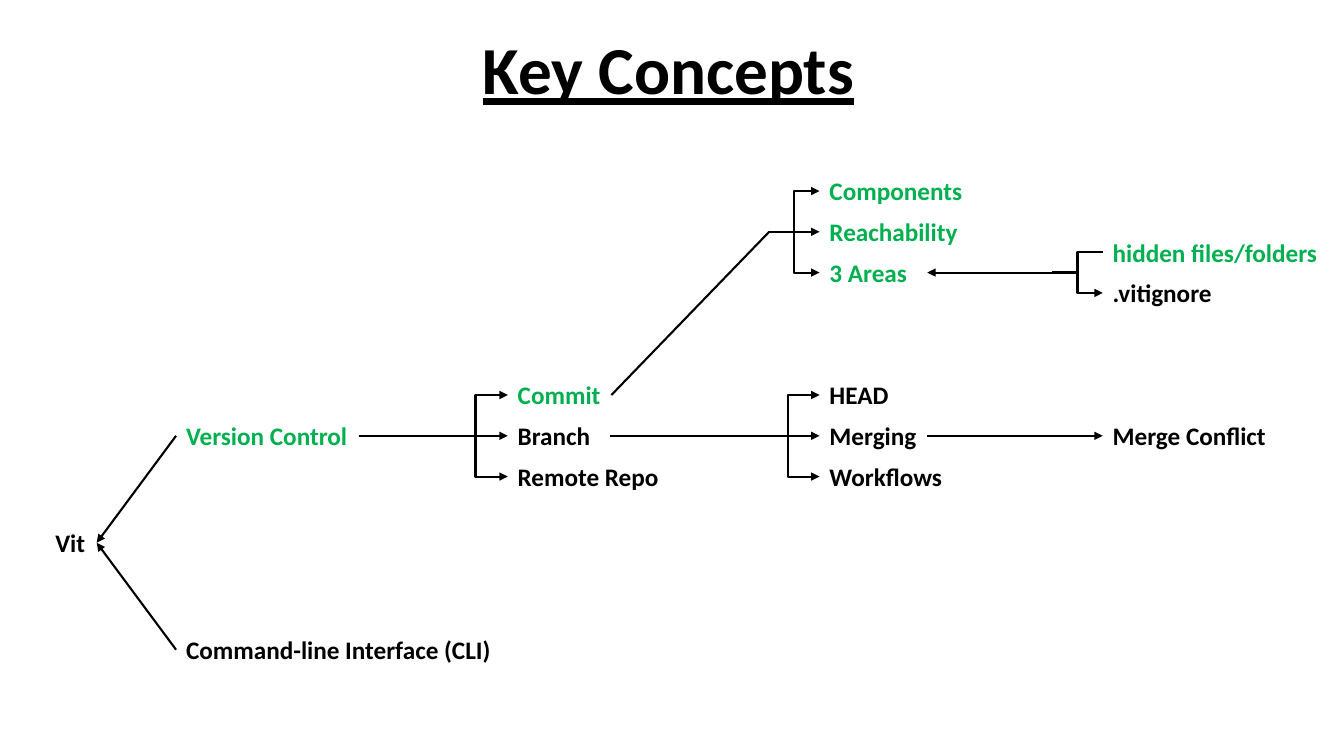
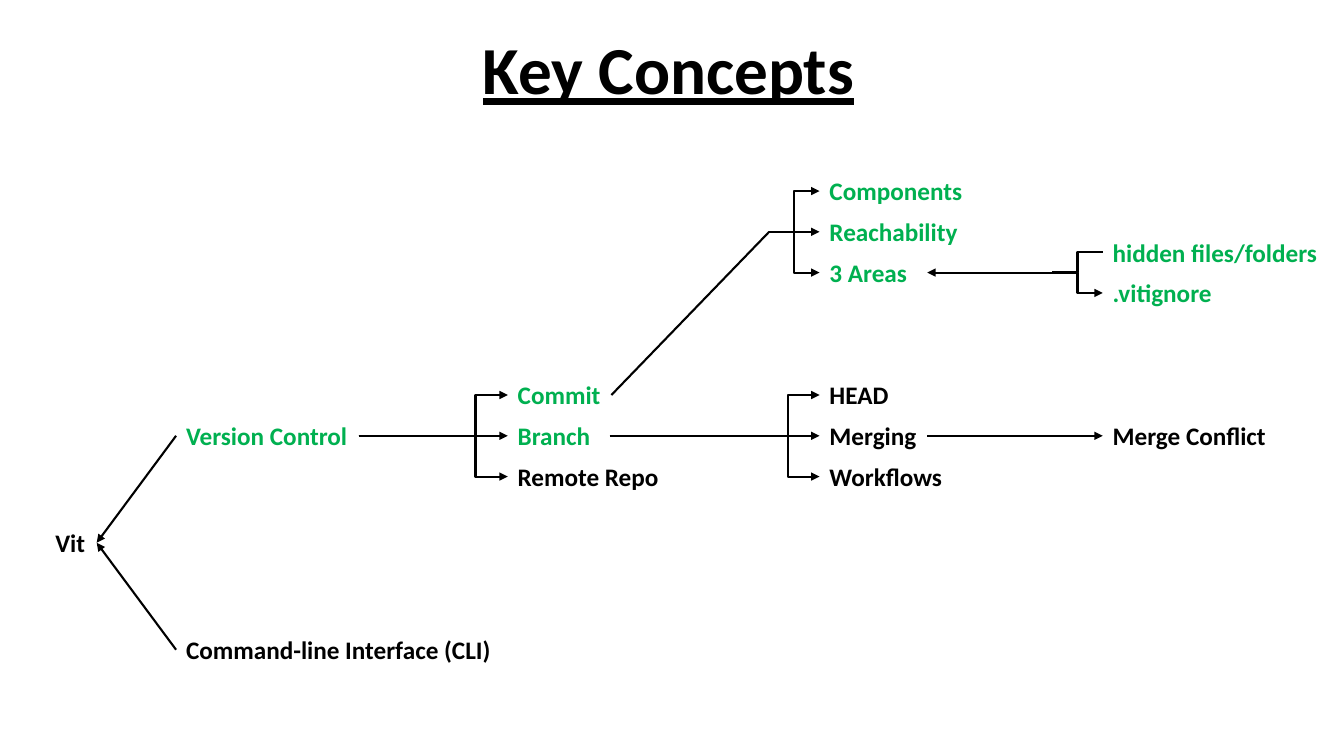
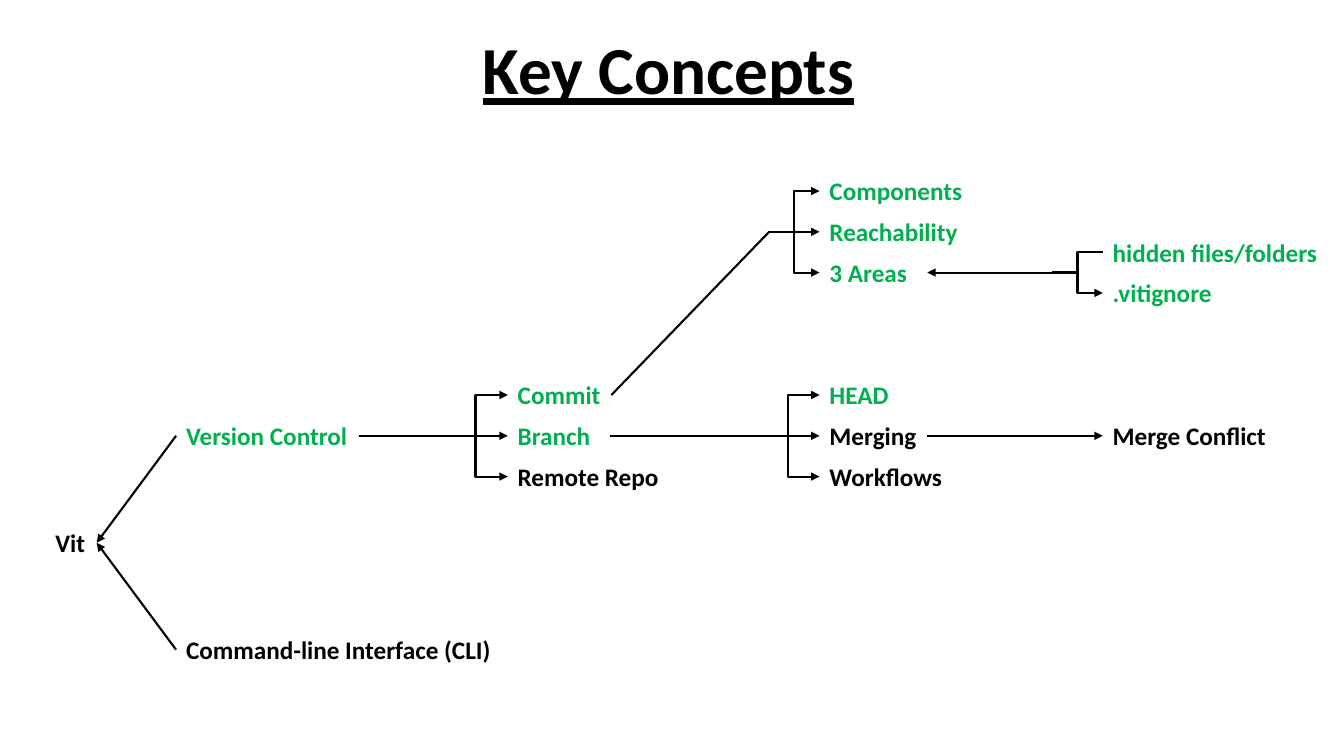
from lxml.etree import SubElement
from pptx import Presentation
from pptx.dml.color import RGBColor
from pptx.enum.shapes import MSO_CONNECTOR
from pptx.enum.text import MSO_ANCHOR, MSO_AUTO_SIZE
from pptx.oxml.ns import qn
from pptx.util import Pt

COLORS = {"text": "000000", "learned": "00B050", "line": "000000"}
TITLE_FORMAT = {"name": "Calibri", "size": Pt(48), "bold": True, "underline": True}
TOPIC_FORMAT = {"name": "Calibri", "size": Pt(18), "bold": True}
FRAME_FORMAT = {
    "word_wrap": True,
    "auto_size": MSO_AUTO_SIZE.SHAPE_TO_FIT_TEXT,
    "vertical_anchor": MSO_ANCHOR.TOP,
    "margin_right": 0,
}

ROW = 29.1
ROOT_X, AREA_X, CONCEPT_X, DETAIL_X, EXTRA_X = 32.4, 125.8, 362.7, 585.4, 787.7
MAIN_Y, COMMIT_Y, ROOT_Y, CLI_Y = 311.3, 165.6, 387.7, 464.1
FILES_Y = COMMIT_Y + ROW

# Topic: left edge, middle height, width
TOPICS = {
    "Vit": (ROOT_X, ROOT_Y, 36.7),
    "Version Control": (AREA_X, MAIN_Y, 130.3),
    "Command-line Interface (CLI)": (AREA_X, CLI_Y, 236.9),
    "Commit": (CONCEPT_X, MAIN_Y - ROW, 74),
    "Branch": (CONCEPT_X, MAIN_Y, 73),
    "Remote Repo": (CONCEPT_X, MAIN_Y + ROW, 116),
    "Components": (DETAIL_X, COMMIT_Y - ROW, 110),
    "Reachability": (DETAIL_X, COMMIT_Y, 106.6),
    "3 Areas": (DETAIL_X, FILES_Y, 77),
    "HEAD": (DETAIL_X, MAIN_Y - ROW, 57),
    "Merging": (DETAIL_X, MAIN_Y, 77),
    "Workflows": (DETAIL_X, MAIN_Y + ROW, 96),
    "hidden files/folders": (EXTRA_X, FILES_Y - ROW / 2, 161.3),
    ".vitignore": (EXTRA_X, FILES_Y + ROW / 2, 86.4),
    "Merge Conflict": (EXTRA_X, MAIN_Y, 124.6),
}

LEARNED_FIRST = {"Version Control", "Commit", "Components", "Reachability",
                 "3 Areas", "hidden files/folders"}
LEARNED_NEXT = LEARNED_FIRST | {"Branch", ".vitignore"}
LEARNED_LAST = LEARNED_NEXT | {"HEAD"}


def set_all(target, values):
    for name, value in values.items():
        setattr(target, name, value)


def add_text(page, text, left, top, width, height, font_format, color):
    box = page.shapes.add_textbox(Pt(left), Pt(top), Pt(width), Pt(height))
    set_all(box.text_frame, FRAME_FORMAT)
    span = box.text_frame.paragraphs[0].add_run()
    span.text = text
    set_all(span.font, font_format)
    span.font.color.rgb = RGBColor.from_string(COLORS[color])


def add_topic(page, text, learned):
    left, middle, width = TOPICS[text]
    add_text(page, text, left, middle - ROW / 2, width, ROW, TOPIC_FORMAT,
             "learned" if text in learned else "text")


def left_of(topic):
    left, middle, _ = TOPICS[topic]
    return left, middle


def right_of(topic):
    left, middle, width = TOPICS[topic]
    return left + width, middle


def add_line(page, start, end, arrow=True, bend_gap=None):
    """Draw a line; bend_gap puts an elbow that far before the end."""
    kind = MSO_CONNECTOR.STRAIGHT if bend_gap is None else MSO_CONNECTOR.ELBOW
    line = page.shapes.add_connector(kind, *map(Pt, start + end))
    line.line.width = Pt(1.5)
    line.line.color.rgb = RGBColor.from_string(COLORS["line"])
    properties = line.element.spPr
    if arrow:
        SubElement(properties.find(qn("a:ln")), qn("a:tailEnd"), type="triangle")
    if bend_gap is not None:
        geometry = properties.find(qn("a:prstGeom"))
        guides = geometry.find(qn("a:avLst"))
        if guides is None:
            guides = SubElement(geometry, qn("a:avLst"))
        share = round(100000 * (1 - bend_gap / (end[0] - start[0])))
        SubElement(guides, qn("a:gd"), name="adj1", fmla=f"val {share}")
    SubElement(properties, qn("a:effectLst"))


def add_fork(page, start, topics, bend_gap=None, plain=()):
    """Link one point to several topics; those in plain get no arrowhead."""
    for topic in topics:
        end = left_of(topic)
        add_line(page, start, end, topic not in plain,
                 None if end[1] == start[1] else bend_gap)


def add_links(page):
    for area in ("Version Control", "Command-line Interface (CLI)"):
        add_line(page, left_of(area), right_of("Vit"))
    add_fork(page, right_of("Version Control"), ("Commit", "Branch", "Remote Repo"), 23)
    add_fork(page, right_of("Branch"), ("HEAD", "Merging", "Workflows"), 22.5)
    add_fork(page, right_of("Merging"), ("Merge Conflict",))

    commit_fork = (DETAIL_X - 36, COMMIT_Y)
    add_line(page, right_of("Commit"), commit_fork, arrow=False)
    add_fork(page, commit_fork, ("Components", "Reachability", "3 Areas"), 18)

    files_fork = (EXTRA_X - 36, FILES_Y)
    add_line(page, files_fork, right_of("3 Areas"))
    add_fork(page, files_fork, ("hidden files/folders", ".vitignore"), 18,
             plain=("hidden files/folders",))


def add_concept_map(deck, learned):
    page = deck.slides.add_slide(deck.slide_layouts[6])
    add_text(page, "Key Concepts", 337.8, 16.3, 283.7, 65.5, TITLE_FORMAT, "text")
    for topic in TOPICS:
        add_topic(page, topic, learned)
    add_links(page)


def main():
    deck = Presentation()
    deck.slide_width, deck.slide_height = Pt(960), Pt(540)
    for learned in (LEARNED_FIRST, LEARNED_NEXT, LEARNED_LAST):
        add_concept_map(deck, learned)
    deck.save("out.pptx")


if __name__ == "__main__":
    main()
